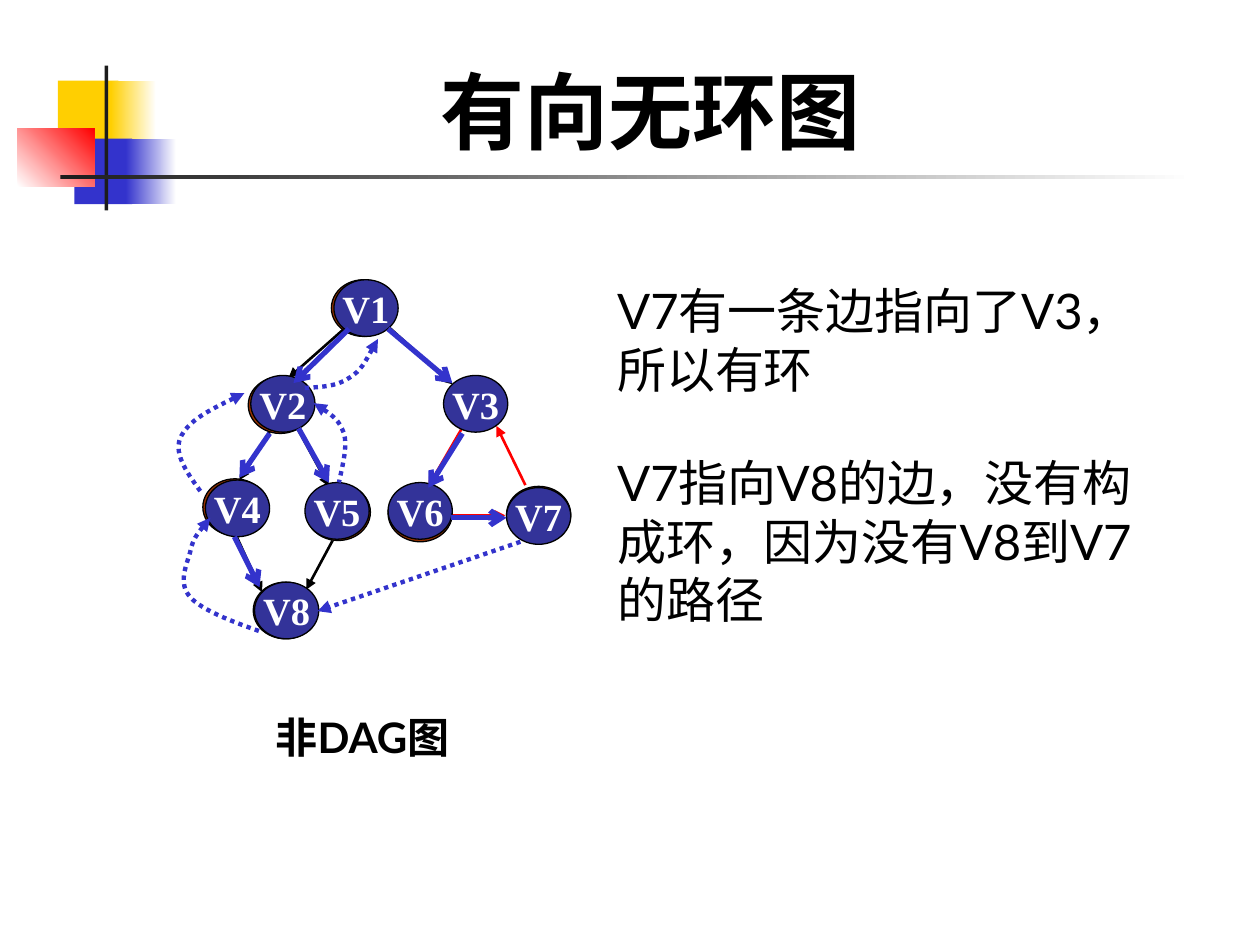
from dataclasses import dataclass
from itertools import chain
from typing import NamedTuple

from lxml.etree import SubElement
from pptx import Presentation
from pptx.dml.color import RGBColor
from pptx.enum.dml import MSO_LINE
from pptx.enum.shapes import MSO_CONNECTOR, MSO_SHAPE
from pptx.enum.text import MSO_ANCHOR, MSO_AUTO_SIZE, PP_ALIGN
from pptx.oxml.ns import qn
from pptx.util import Inches, Pt


@dataclass(frozen=True)
class Theme:
    black: str = "000000"
    white: str = "FFFFFF"
    ink: str = "1C1C1C"
    gold: str = "FFCF01"
    red: str = "FF0000"
    blue: str = "3333CC"
    navy: str = "333399"
    brown: str = "993300"
    serif: str = "Times New Roman"
    sans: str = "Lato"
    title: float = 48
    body: float = 28
    note: float = 24
    label: float = 22
    rim: float = 0.75
    thin: float = 1.5
    dots: float = 2.5
    thick: float = 3


class Point(NamedTuple):
    col: float
    row: float


class Box(NamedTuple):
    col: float
    row: float
    cols: float
    rows: float


class Block(NamedTuple):
    box: Box
    start: str
    stop: str = ""
    angle: float = 0


class Edge(NamedTuple):
    tail: Point
    tip: Point


class Text(NamedTuple):
    box: Box
    words: str
    size: float
    face: str
    bold: bool = False
    align: PP_ALIGN = PP_ALIGN.LEFT


LOOK = Theme()
COLS, ROWS = 100, 75
NODE = Point(5.1, 4.5)

deck = Presentation()
deck.slide_width, deck.slide_height = Inches(10), Inches(7.5)
slide = deck.slides.add_slide(deck.slide_layouts[6])
shapes = slide.shapes


def span(col: float, row: float) -> tuple[int, int]:
    return round(col * deck.slide_width / COLS), round(row * deck.slide_height / ROWS)


def place(box: Box) -> tuple[int, ...]:
    return *span(box.col, box.row), *span(box.cols, box.rows)


def rgb(code: str) -> RGBColor:
    return RGBColor.from_string(code)


def style(line, color: str, width: float) -> None:
    line.color.rgb = rgb(color)
    line.width = Pt(width)


def tip(shape, end: str, kind: str) -> None:
    SubElement(shape._element.spPr.find(qn("a:ln")), qn(f"a:{end}"), type=kind)


def draw_block(block: Block) -> None:
    shape = shapes.add_shape(MSO_SHAPE.RECTANGLE, *place(block.box))
    shape.shadow.inherit = False
    shape.line.fill.background()
    if block.stop:
        shape.fill.gradient()
        shape.fill.gradient_angle = block.angle
        for stop, color in zip(shape.fill.gradient_stops, (block.start, block.stop)):
            stop.color.rgb = rgb(color)
    else:
        shape.fill.solid()
        shape.fill.fore_color.rgb = rgb(block.start)


def draw_node(spot: Point, color: str, name: str = "") -> None:
    shape = shapes.add_shape(MSO_SHAPE.OVAL, *place(Box(*spot, *NODE)))
    shape.shadow.inherit = False
    shape.fill.solid()
    shape.fill.fore_color.rgb = rgb(color)
    style(shape.line, LOOK.black, LOOK.rim)
    if name:
        frame = shape.text_frame
        frame.word_wrap = False
        frame.vertical_anchor = MSO_ANCHOR.MIDDLE
        write(frame.paragraphs[0], name, LOOK.label, LOOK.serif, LOOK.white, True, PP_ALIGN.CENTER)


def draw_edge(edge: Edge, color: str, width: float, kind: str, dotted: bool = False) -> None:
    line = shapes.add_connector(MSO_CONNECTOR.STRAIGHT, *span(*edge.tail), *span(*edge.tip))
    style(line.line, color, width)
    if dotted:
        line.line.dash_style = MSO_LINE.ROUND_DOT
    tip(line, "tailEnd", kind)
    SubElement(line._element.spPr, qn("a:effectLst"))


def draw_curve(points: list[Point]) -> None:
    pen = shapes.build_freeform(*span(*points[0]))
    pen.add_line_segments([span(*point) for point in points[1:]], close=False)
    shape = pen.convert_to_shape()
    shape.shadow.inherit = False
    shape.fill.background()
    style(shape.line, LOOK.blue, LOOK.dots)
    shape.line.dash_style = MSO_LINE.ROUND_DOT
    tip(shape, "headEnd", "triangle")
    path = next(shape._element.iter(qn("a:path")))
    legs = path.findall(qn("a:lnTo"))
    for first in range(0, len(legs), 3):
        bend = SubElement(path, qn("a:cubicBezTo"))
        for leg in legs[first:first + 3]:
            bend.append(leg[0])
            path.remove(leg)


def write(para, words: str, size: float, face: str, color: str, bold: bool, align: PP_ALIGN) -> None:
    para.text = words
    para.alignment = align
    font = para.font
    font.size, font.name, font.bold = Pt(size), face, bold
    font.color.rgb = rgb(color)


def draw_text(text: Text) -> None:
    frame = shapes.add_textbox(*place(text.box)).text_frame
    frame.word_wrap = True
    frame.auto_size = MSO_AUTO_SIZE.SHAPE_TO_FIT_TEXT
    write(frame.paragraphs[0], text.words, text.size, text.face, LOOK.black, text.bold, text.align)


def edges(*rows: tuple[float, ...]) -> list[Edge]:
    return [Edge(Point(*row[:2]), Point(*row[2:])) for row in rows]


BLOCKS = [
    Block(Box(4.6, 6.4, 4.8, 5.2), LOOK.gold),
    Block(Box(8.8, 6.4, 3.6, 5.2), LOOK.gold, LOOK.white),
    Block(Box(5.9, 11, 4.6, 5.2), LOOK.blue),
    Block(Box(10, 11, 4, 5.2), LOOK.blue, LOOK.white),
    Block(Box(1.4, 10.2, 6.1, 4.6), LOOK.white, LOOK.red, 45),
    Block(Box(8.3, 5.2, 0.3, 11.5), LOOK.ink),
    Block(Box(4.8, 13.9, 90, 0.3), LOOK.ink, LOOK.white),
]
BACKS = [(26.3, 22.2), (19.7, 29.9), (16.1, 38), (24.3, 38.4),
         (40.2, 38.6), (30.8, 38.5), (20.1, 46.2)]
NODES = {
    "V1": (26.5, 22.2), "V2": (19.9, 29.8), "V3": (35.2, 29.8), "V8": (20.2, 46.2),
    "V7": (40.2, 38.7), "V6": (30.8, 38.3), "V5": (24.2, 38.3), "V4": (16.3, 38.1),
}
TREE = edges(
    (27.2, 26.2, 22.9, 30), (30.9, 26, 35.9, 30.5), (21.4, 34.3, 19, 38.1),
    (23.5, 33.8, 26.1, 38.6), (18.7, 42.4, 20.8, 47), (26.4, 42.9, 24.3, 46.8),
)
CYCLE = edges((36.6, 34.1, 34, 38.6), (41.7, 38.5, 39.4, 33.8), (35.8, 40.9, 40.1, 40.9))
WALK = edges(
    (27.7, 26.1, 23.3, 30.4), (21.4, 34.4, 19, 37.9), (18.6, 42.6, 20.6, 46.6),
    (23.7, 34, 26.1, 38.3), (30.8, 26.1, 35.9, 30.4), (36.7, 34.4, 34, 38.7),
    (35.8, 41.1, 40.2, 41.1),
)
CROSS = edges((41.3, 43, 25.2, 48.5))
CURVES = [
    [(16.7, 41.1), (16, 41.9), (15.3, 42.8), (15.1, 43.8), (14.8, 44.9), (14.1, 46.3),
     (15.1, 47.4), (16, 48.4), (18.3, 49.3), (20.6, 50.1)],
    [(19.4, 31.2), (17.1, 32.3), (14.9, 33.4), (14.3, 34.8), (13.8, 36.1), (14.9, 37.6), (16, 39.1)],
    [(24.9, 32), (25.9, 32.6), (26.9, 33.3), (27.3, 34.4), (27.6, 35.4), (27.2, 36.9), (26.9, 38.3)],
    [(30, 26.9), (29.3, 28.1), (28.7, 29.4), (27.7, 30), (26.7, 30.7), (25.4, 30.7), (24.1, 30.8)],
]
TEXTS = [
    Text(Box(13, 4.2, 77.2, 9), "有向无环图", LOOK.title, LOOK.serif, True, PP_ALIGN.CENTER),
    Text(Box(20.9, 56, 19.6, 5), "非DAG图", LOOK.note, LOOK.sans, True),
    Text(Box(48, 21.8, 44.5, 10.4), "V7有一条边指向了V3，所以有环", LOOK.body, LOOK.sans),
    Text(Box(48, 35.4, 44.5, 15), "V7指向V8的边，没有构成环，因为没有V8到V7的路径", LOOK.body, LOOK.sans),
]

for block in BLOCKS:
    draw_block(block)
for spot in BACKS:
    draw_node(Point(*spot), LOOK.brown)
for edge in chain(TREE, CYCLE):
    draw_edge(edge, LOOK.red if edge in CYCLE else LOOK.black, LOOK.thin, "triangle")
for name, spot in NODES.items():
    draw_node(Point(*spot), LOOK.navy, name)
for edge in WALK:
    draw_edge(edge, LOOK.blue, LOOK.thick, "arrow")
for curve in CURVES:
    draw_curve([Point(*point) for point in curve])
for edge in CROSS:
    draw_edge(edge, LOOK.blue, LOOK.dots, "triangle", True)
for text in TEXTS:
    draw_text(text)

deck.save("out.pptx")
